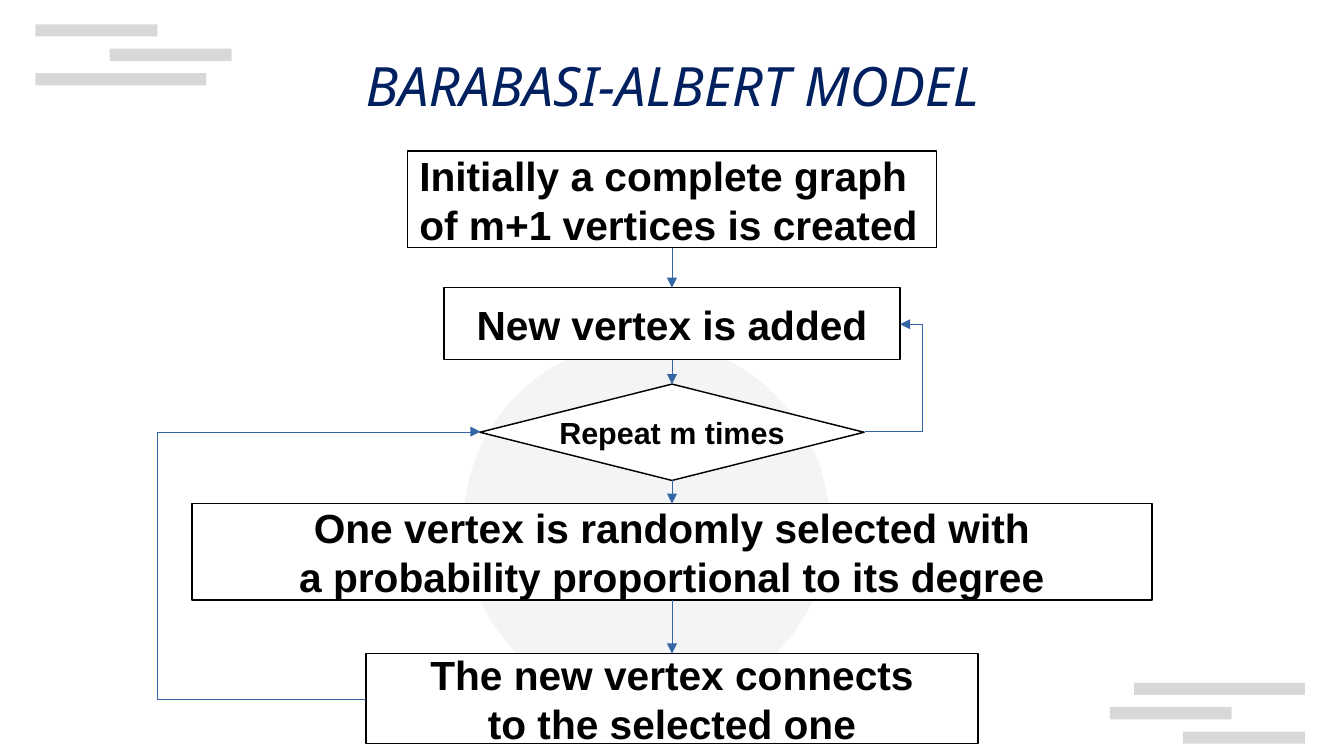
from lxml import etree
from pptx import Presentation
from pptx.dml.color import RGBColor
from pptx.enum.shapes import MSO_CONNECTOR as Route, MSO_SHAPE as Shape
from pptx.enum.text import MSO_ANCHOR as Anchor, MSO_AUTO_SIZE as AutoSize, PP_ALIGN as Align
from pptx.oxml.ns import qn
from pptx.util import Inches, Pt

CENTRE = 5.51


def paint(fill, colour, opacity=100):
    """Fill with a solid colour; opacity is in percent."""
    fill.solid()
    fill.fore_color.rgb = RGBColor.from_string(colour)
    if opacity < 100:
        solid = fill._xPr.find(qn("a:solidFill"))
        etree.SubElement(solid[0], qn("a:alpha"), val=str(opacity * 1000))


def add_arrow(route, start, end):
    """Add a hairline arrow; a zero width has to be written out in the XML."""
    arrow = slide.shapes.add_connector(route, *(Inches(v) for v in start + end))
    paint(arrow.line.fill, "3465A4")
    outline = arrow.line._get_or_add_ln()
    outline.set("w", "0")
    etree.SubElement(outline, qn("a:tailEnd"), type="triangle")
    etree.SubElement(arrow._element.spPr, qn("a:effectLst"))
    return arrow


prs = Presentation()
prs.slide_width, prs.slide_height = Inches(11.02), Inches(6.2)
slide = prs.slides.add_slide(prs.slide_layouts[5])

# Background decoration
bars = [(9.3, 5.6, 1.4), (9.1, 5.8, 1), (9.7, 6, 1),
        (0.29, 0.6, 1.4), (0.9, 0.4, 1), (0.29, 0.2, 1)]
decorations = [(Shape.RECTANGLE, left, top, width, 0.1, "CCCCCC", 75)
               for left, top, width in bars]
decorations.append((Shape.OVAL, 3.8, 2.8, 3, 3, "8D99AE", 10))
for kind, left, top, width, height, colour, opacity in decorations:
    decoration = slide.shapes.add_shape(
        kind, Inches(left), Inches(top), Inches(width), Inches(height))
    decoration.shadow.inherit = False
    paint(decoration.fill, colour, opacity)
    decoration.line.fill.background()

# Title
title = slide.shapes.title
title.left, title.top = Inches(2.06), Inches(0.38)
title.width, title.height = Inches(6.91), Inches(0.44)
heading = title.text_frame
heading.auto_size = AutoSize.NONE
heading.vertical_anchor = Anchor.TOP
heading.paragraphs[0].alignment = Align.CENTER
run = heading.paragraphs[0].add_run()
run.text = "BARABASI-ALBERT MODEL"
run.font.name, run.font.size, run.font.italic = "Noto Sans", Pt(32), True
paint(run.font.fill, "002060")

# Flowchart steps, all on one centre line; the diamond has room for smaller text only
steps = [
    (Shape.FLOWCHART_PROCESS, 1.24, 4.34, 0.79, Align.LEFT, 24,
     ["Initially a complete graph", "of m+1 vertices is created"]),
    (Shape.FLOWCHART_PROCESS, 2.36, 3.74, 0.59, Align.CENTER, 24, ["New vertex is added"]),
    (Shape.FLOWCHART_DECISION, 3.15, 3.15, 0.79, Align.CENTER, 18, ["Repeat m times"]),
    (Shape.FLOWCHART_PROCESS, 4.13, 7.87, 0.79, Align.CENTER, 24,
     ["One vertex is randomly selected with", "a probability proportional to its degree"]),
    (Shape.FLOWCHART_PROCESS, 5.36, 5.02, 0.74, Align.CENTER, 24,
     ["The new vertex connects", "to the selected one"]),
]
for kind, top, width, height, alignment, size, lines in steps:
    step = slide.shapes.add_shape(
        kind, Inches(CENTRE - width / 2), Inches(top), Inches(width), Inches(height))
    step.shadow.inherit = False
    paint(step.fill, "FFFFFF")
    paint(step.line.fill, "000000")
    step.line.width = Pt(0.85)
    frame = step.text_frame
    frame.word_wrap = False
    frame.vertical_anchor = Anchor.MIDDLE
    for number, line in enumerate(lines):
        paragraph = frame.add_paragraph() if number else frame.paragraphs[0]
        paragraph.alignment = alignment
        run = paragraph.add_run()
        run.text = line
        run.font.name, run.font.size, run.font.bold = "Arial", Pt(size), True
        paint(run.font.fill, "000000")

# Arrows from the bottom of each step to the top of the next
for (_, top, _, height, *_), (_, next_top, *_) in zip(steps, steps[1:]):
    add_arrow(Route.STRAIGHT, (CENTRE, top + height), (CENTRE, next_top))

# Loops back; bend is the distance of the turn as a share of the width
loops = [((3, 5.73), (3.94, 3.54), -1.82), ((7.09, 3.54), (7.38, 2.66), 1.63)]
for start, end, bend in loops:
    loop = add_arrow(Route.ELBOW, start, end)
    guides = loop._element.spPr.find(qn("a:prstGeom")).get_or_add_avLst()
    etree.SubElement(guides, qn("a:gd"), name="adj1", fmla=f"val {round(bend * 100000)}")

prs.save("out.pptx")
